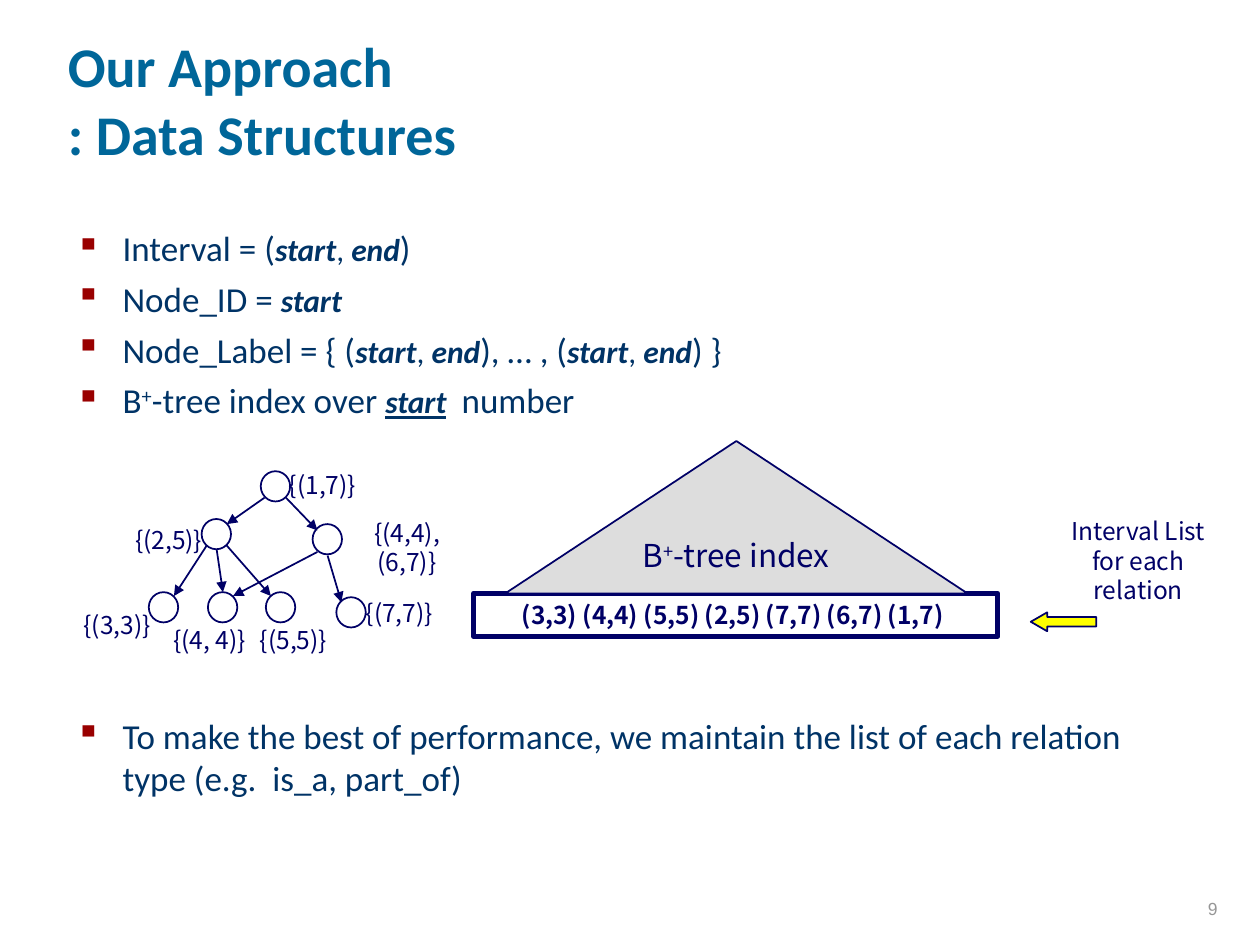
from dataclasses import dataclass
from lxml import etree
from pptx import Presentation
from pptx import util as u
from pptx.dml.color import RGBColor
from pptx.enum import shapes, text
from pptx.oxml import ns


@dataclass(frozen=True)
class Theme:
    title: str = "006699"
    body: str = "003366"
    bullet: str = "990000"
    ink: str = "000066"
    grey: str = "DDDDDD"
    yellow: str = "FFFF00"
    number: str = "969696"
    heading_font: str = "Calibri"
    label_font: str = "Noto Sans CJK KR"
    number_font: str = "Arial"
    title_size: int = 32
    body_size: int = 20
    term_size: int = 18
    label_size: int = 14
    number_size: int = 10


theme = Theme()
Pt = u.Pt
shape_type = shapes.MSO_SHAPE
anchors = text.MSO_ANCHOR
align = text.PP_ALIGN

deck = Presentation()
deck.slide_width, deck.slide_height = Pt(720), Pt(540)
page = deck.slides.add_slide(deck.slide_layouts[6])


def write(box, lines, size, font, color, alignment=align.LEFT, anchor=anchors.TOP, wrap=True):
    frame = box.text_frame
    frame.word_wrap = wrap
    frame.vertical_anchor = anchor
    for index, line in enumerate(lines):
        para = frame.paragraphs[0] if index == 0 else frame.add_paragraph()
        para.alignment = alignment
        for words, style in line:
            span = para.add_run()
            span.text = words
            span.font.size = Pt(theme.term_size if "t" in style else size)
            span.font.name = font
            span.font.color.rgb = RGBColor.from_string(color)
            span.font.bold = "b" in style
            span.font.italic = "i" in style
            span.font.underline = "u" in style
            if "^" in style:
                span.font._element.set("baseline", "30000")
    return frame


def draw(kind, left, top, width, height, fill=None, weight=1):
    shape = page.shapes.add_shape(kind, Pt(left), Pt(top), Pt(width), Pt(height))
    shape.shadow.inherit = False
    if fill:
        shape.fill.solid()
        shape.fill.fore_color.rgb = RGBColor.from_string(fill)
    else:
        shape.fill.background()
    shape.line.color.rgb = RGBColor.from_string(theme.ink)
    shape.line.width = Pt(weight)
    return shape


title = page.shapes.add_textbox(Pt(31.7), Pt(8.6), Pt(612), Pt(90))
write(title, [[("Our Approach", "b")], [(": Data Structures", "b")]],
      theme.title_size, theme.heading_font, theme.title, anchor=anchors.BOTTOM)

pair = [("start", "tbi"), (", ", "t"), ("end", "tbi")]
definitions = [
    [("Interval = (", ""), *pair, (")", "")],
    [("Node_ID = ", ""), ("start", "tbi")],
    [("Node_Label = { (", ""), *pair, ("), … , (", ""), *pair, (") }", "")],
    [("B", ""), ("+", "^"), ("-tree index over ", ""), ("start", "tbiu"), (" ", "t"), (" number", "")],
]
remark = [[("To make the best of performance, we maintain the list of each relation "
            "type (e.g.  is_a, part_of)", "")]]
for top, height, lines in [(126, 125, definitions), (404.5, 60, remark)]:
    box = page.shapes.add_textbox(Pt(36), Pt(top), Pt(643.7), Pt(height))
    frame = write(box, lines, theme.body_size, theme.heading_font, theme.body)
    for index, para in enumerate(frame.paragraphs):
        if index:
            para.space_before = Pt(5)
        props = para._p.get_or_add_pPr()
        props.set("marL", str(Pt(27)))
        props.set("indent", str(-Pt(27)))
        color = etree.SubElement(props, ns.qn("a:buClr"))
        etree.SubElement(color, ns.qn("a:srgbClr"), val=theme.bullet)
        etree.SubElement(props, ns.qn("a:buChar"), char="▪")

interval_list = draw(shape_type.RECTANGLE, 270.7, 339.1, 299.5, 24.5, weight=3)
write(interval_list, [[("(3,3) (4,4) (5,5) (2,5) (7,7) (6,7) (1,7) ", "b")]],
      theme.label_size, theme.label_font, theme.ink, align.CENTER)

index_tree = draw(shape_type.ISOSCELES_TRIANGLE, 288.7, 252, 264.2, 87.1, theme.grey)
write(index_tree, [[("B", ""), ("+", "^"), ("-tree index", "")]],
      theme.term_size, theme.label_font, theme.ink, align.CENTER, anchors.MIDDLE)

pointer = draw(shape_type.LEFT_ARROW, 589, 349.9, 37.4, 10.8, theme.yellow)
pointer.adjustments[1] = 0.87

caption = page.shapes.add_textbox(Pt(595.4), Pt(291.6), Pt(110.2), Pt(57.6))
write(caption, [[("Interval List", "")], [("for each relation", "")]],
      theme.label_size, theme.label_font, theme.ink, align.CENTER)

nodes = [(149, 269.3), (115.2, 296.6), (178.6, 299.5), (85, 338.4),
         (118.8, 338.4), (151.9, 338.4), (192.2, 341.3)]
for left, top in nodes:
    draw(shape_type.OVAL, left, top, 16.8, 17.3)

edges = [
    (151.2, 284.4, 129.6, 299.5), (163.4, 284.4, 181.4, 303.1),
    (118.1, 311.8, 99.4, 340.6), (123.8, 313.9, 127.4, 338.4),
    (129.6, 311.8, 154.8, 340.6), (181.4, 315.4, 133.2, 340.6),
    (187.2, 317.5, 195.1, 344.2),
]
for edge in edges:
    link = page.shapes.add_connector(shapes.MSO_CONNECTOR.STRAIGHT, *map(Pt, edge))
    link.line.color.rgb = RGBColor.from_string(theme.ink)
    link.line.width = Pt(1)
    etree.SubElement(link.line._get_or_add_ln(), ns.qn("a:tailEnd"), type="triangle")
    etree.SubElement(link._element.spPr, ns.qn("a:effectLst"))

labels = [
    (157.7, 265, 53.3, ["{(1,7)}"]), (69.8, 296.6, 53.3, ["{(2,5)}"]),
    (190.1, 292.3, 85, ["{(4,4),", "(6,7)}"]), (201.6, 338.4, 53.3, ["{(7,7)}"]),
    (141.1, 353.5, 53.3, ["{(5,5)}"]), (40.3, 344.9, 53.3, ["{(3,3)}"]),
    (91.4, 353.5, 56.9, ["{(4, 4)}"]),
]
for left, top, width, lines in labels:
    box = page.shapes.add_textbox(Pt(left), Pt(top), Pt(width), Pt(24.5))
    write(box, [[(line, "")] for line in lines], theme.label_size, theme.label_font,
          theme.ink, align.CENTER, wrap=False)

number = page.shapes.add_textbox(Pt(553), Pt(492.5), Pt(149.8), Pt(36))
write(number, [[("9", "")]], theme.number_size, theme.number_font, theme.number,
      align.RIGHT, anchors.BOTTOM)

deck.save("out.pptx")
